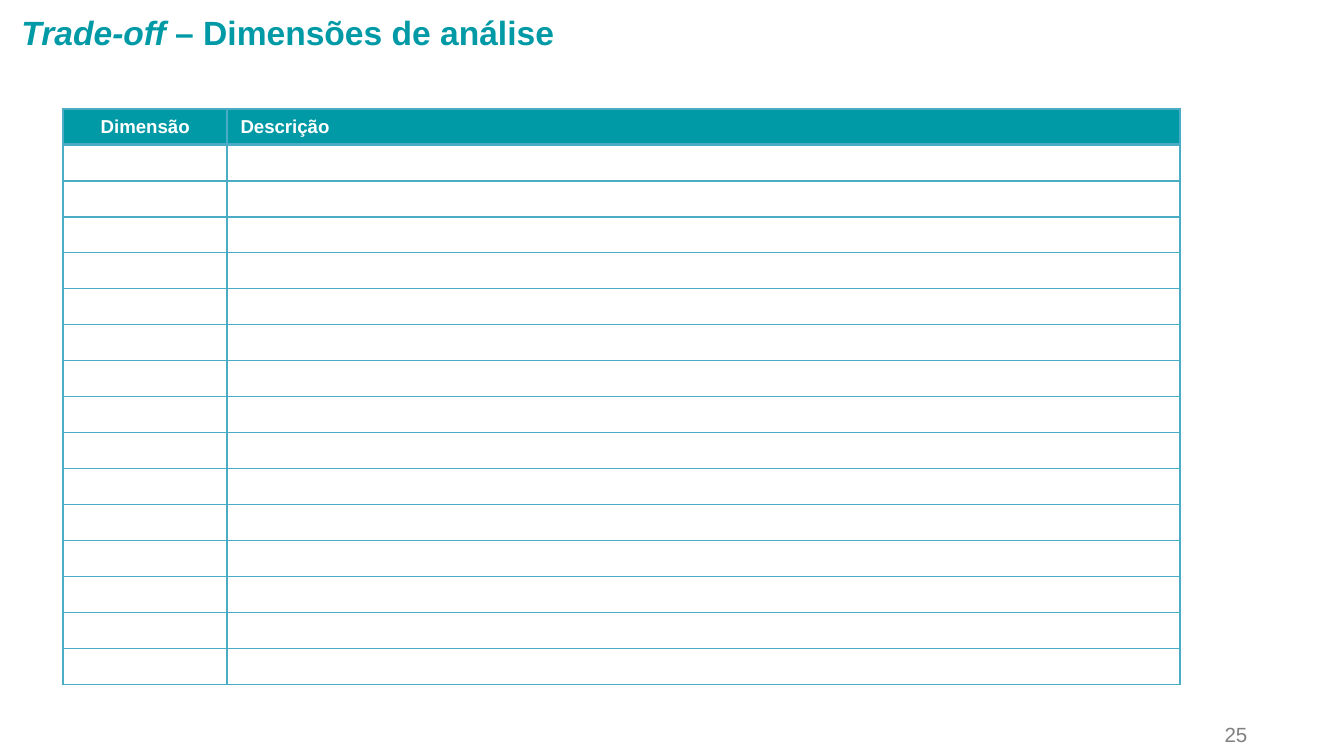
from lxml import etree
from pptx import Presentation
from pptx import util as u
from pptx.dml.color import RGBColor
from pptx.enum import text
from pptx.oxml.ns import qn

WIDE = 10
HIGH = WIDE * 9 / 16
TEAL, EDGE, GREY = "009AA6", "4BACC6", "808080"
HEADS = {"Dimensão": text.PP_ALIGN.CENTER, "Descrição": text.PP_ALIGN.LEFT}
COLS = [1.22, 7.09]
ROWS, TALL, TOP = 16, 4.28, 0.26
PITCH = (TALL - TOP) / (ROWS - 1)


def paint(code):
    return RGBColor.from_string(code)


def style(font, code, **form):
    font.name = "Arial"
    font.color.rgb = paint(code)
    for key, val in form.items():
        setattr(font, key, val)


def place(shape, left, top, width, height):
    """Set the box as shares of the slide's size."""
    box = {"left": left * WIDE, "top": top * HIGH,
           "width": width * WIDE, "height": height * HIGH}
    for key, val in box.items():
        setattr(shape, key, u.Inches(val))


def write(line, runs, align, code, size):
    """Fill a paragraph; runs pair wording with format values."""
    line.alignment = align
    for words, form in runs:
        run = line.add_run()
        run.text = words
        style(run.font, code, size=u.Pt(size), **form)


def wrap(frame):
    frame.word_wrap = True
    frame.vertical_anchor = text.MSO_ANCHOR.MIDDLE
    return frame.paragraphs[0]


def edge(cell, side, width):
    line = etree.SubElement(cell._tc.get_or_add_tcPr(), qn(f"a:ln{side}"),
                            w=str(u.Pt(width)))
    fill = etree.SubElement(line, qn("a:solidFill"))
    etree.SubElement(fill, qn("a:srgbClr"), val=EDGE)


def fill_cell(cell, row, head, align):
    """Draw the edges, then the heading or an empty line."""
    for side in "LRTB":
        under = (row, side) in ((0, "B"), (1, "T"))
        edge(cell, side, 2 if under else 1)
    line = cell.text_frame.paragraphs[0]
    if row:
        cell.fill.background()
        etree.SubElement(line._p, qn("a:endParaRPr"), sz="1000")
        return
    cell.fill.solid()
    cell.fill.fore_color.rgb = paint(TEAL)
    cell.vertical_anchor = text.MSO_ANCHOR.MIDDLE
    write(line, [(head, {"bold": True})], align, "FFFFFF", 10)


def add_grid(slide):
    shape = slide.shapes.add_table(
        ROWS, len(COLS), u.Inches(0.47), u.Inches(0.81),
        u.Inches(sum(COLS)), u.Inches(TALL))
    table = shape.table
    table.first_row = table.horz_banding = False
    for col, width in zip(table.columns, COLS):
        col.width = u.Inches(width)
    for num, row in enumerate(table.rows):
        row.height = u.Inches(PITCH if num else TOP)
        for cell, (head, align) in zip(row.cells, HEADS.items()):
            fill_cell(cell, num, head, align)


def add_title(slide):
    title = slide.shapes.title
    place(title, 0.006, 0.008, 0.88, 0.07)
    write(wrap(title.text_frame),
          [("Trade-off ", {"bold": True, "italic": True}),
           ("– Dimensões de análise", {"bold": True, "italic": False})],
          text.PP_ALIGN.LEFT, TEAL, 18)


def add_number(slide):
    box = slide.shapes.add_textbox(0, 0, 0, 0)
    place(box, 0.846, 0.948, 0.092, 0.052)
    line = wrap(box.text_frame)
    write(line, [("25", {})], text.PP_ALIGN.RIGHT, GREY, 11)
    line.line_spacing = 0.8


def main():
    deck = Presentation()
    deck.slide_width, deck.slide_height = u.Inches(WIDE), u.Inches(HIGH)
    slide = deck.slides.add_slide(deck.slide_layouts[5])
    add_number(slide)
    add_grid(slide)
    add_title(slide)
    deck.save("out.pptx")


if __name__ == "__main__":
    main()
